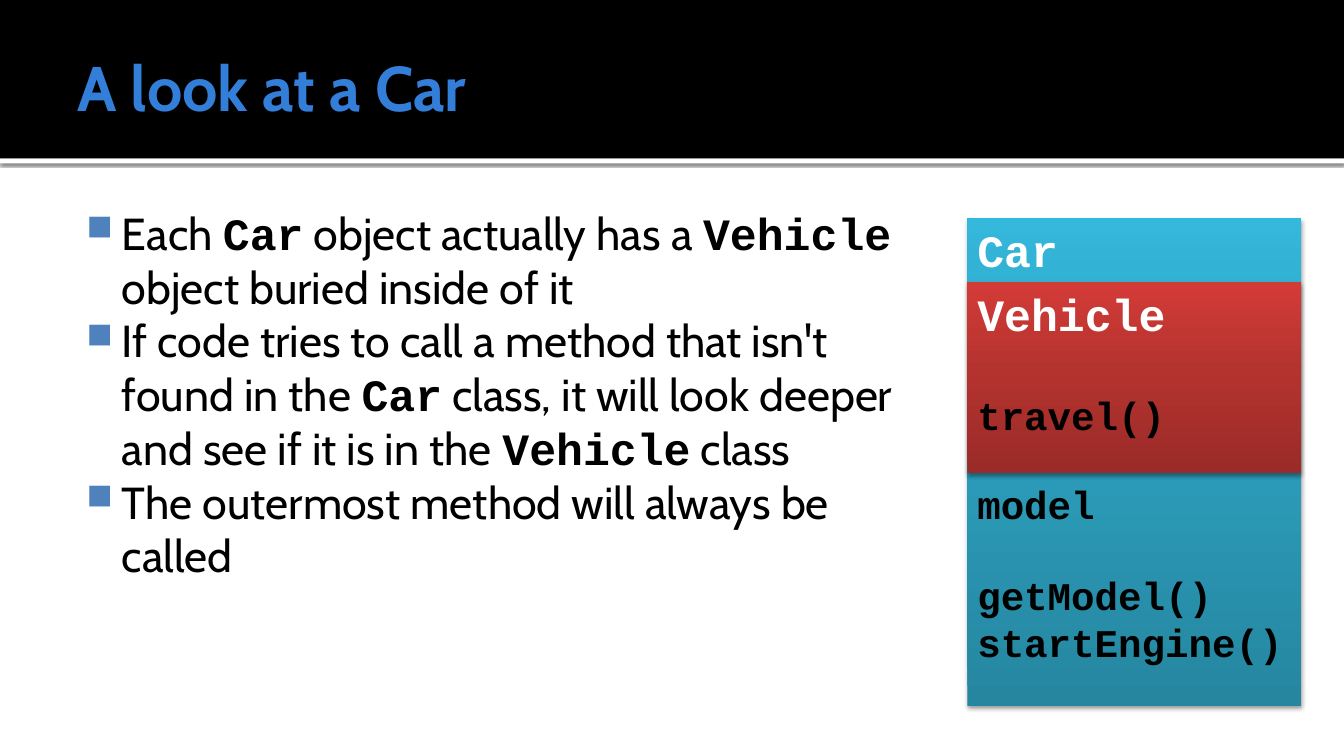
from dataclasses import dataclass

import lxml.etree
import pptx
import pptx.dml.color
import pptx.enum.shapes
import pptx.enum.text
import pptx.oxml.ns
import pptx.util
from pptx.util import Cm


@dataclass(frozen=True)
class Theme:
    prose_font: str = "Cabin"
    code_font: str = "Courier New"
    black: str = "000000"
    white: str = "FFFFFF"
    title: str = "337ED9"
    bullet: str = "4F81BD"
    car: tuple[str, ...] = ("2686A0", "2C9EBC", "34B8DB")
    vehicle: tuple[str, ...] = ("9A2B28", "B5332F", "D33B37")
    title_size: float = 45
    body_size: float = 32
    member_size: float = 28
    code_line: float = 1.133


@dataclass(frozen=True)
class Area:
    left: float
    top: float
    width: float
    height: float

    def lengths(self) -> tuple[Cm, Cm, Cm, Cm]:
        return Cm(self.left), Cm(self.top), Cm(self.width), Cm(self.height)


@dataclass(frozen=True)
class Shadow:
    opacity: int
    blur: float
    distance: float


@dataclass(frozen=True)
class Member:
    text: str
    gap: float = 0


@dataclass(frozen=True)
class ObjectBox:
    name: str
    area: Area
    gradient: tuple[str, ...]
    members: tuple[Member, ...]


THEME = Theme()
STOPS = (0, 0.55, 1)
BOX_SHADOW = Shadow(38, 3.1, 2)
DIVIDER_SHADOW = Shadow(60, 2.5, 0.8)
HEADING_LINE = THEME.body_size * THEME.code_line
MEMBER_LINE = THEME.member_size * THEME.code_line

BULLETS = (
    "Each `Car` object actually has a `Vehicle` object buried inside of it",
    "If code tries to call a method that isn't found in the `Car` class, "
    "it will look deeper and see if it is in the `Vehicle` class",
    "The outermost method will always be called",
)

BOXES = (
    ObjectBox("Car", Area(24.38, 5.5, 8.41, 12.28), THEME.car, (
        Member("model", 4 * HEADING_LINE),
        Member("getModel()", MEMBER_LINE),
        Member("startEngine()"),
    )),
    ObjectBox("Vehicle", Area(24.38, 7.11, 8.41, 4.81), THEME.vehicle, (
        Member("travel()", HEADING_LINE),
    )),
)


def color(value: str) -> pptx.dml.color.RGBColor:
    return pptx.dml.color.RGBColor.from_string(value)


def add_child(parent, tag: str, **attributes: str):
    child = lxml.etree.SubElement(parent, pptx.oxml.ns.qn(tag))
    for name, value in attributes.items():
        child.set(name, value)
    return child


def style_font(font, size: float, fill: str) -> None:
    font.size = pptx.util.Pt(size)
    font.color.rgb = color(fill)


def set_typeface(font, name: str, bold: bool) -> None:
    font.name = name
    font.bold = bold


def add_rectangle(shapes, area: Area):
    shape = shapes.add_shape(pptx.enum.shapes.MSO_SHAPE.RECTANGLE, *area.lengths())
    shape.shadow.inherit = False
    shape.line.fill.background()
    return shape


def add_band(shapes, area: Area, fill: str):
    band = add_rectangle(shapes, area)
    band.fill.solid()
    band.fill.fore_color.rgb = color(fill)
    return band


def add_shadow(shape, shadow: Shadow) -> None:
    effects = shape.element.spPr.find(pptx.oxml.ns.qn("a:effectLst"))
    outer = add_child(
        effects, "a:outerShdw",
        blurRad=str(pptx.util.Pt(shadow.blur)),
        dist=str(pptx.util.Pt(shadow.distance)),
        dir="5400000", rotWithShape="0",
    )
    shade = add_child(outer, "a:srgbClr", val=THEME.black)
    add_child(shade, "a:alpha", val=str(shadow.opacity * 1000))


def fill_gradient(shape, colors: tuple[str, ...]) -> None:
    shape.fill.gradient()
    shape.fill.gradient_angle = 90
    stop_list = next(shape.element.iter(pptx.oxml.ns.qn("a:gsLst")))
    for stop in list(stop_list):
        stop_list.remove(stop)
    for position, value in zip(STOPS, colors):
        stop = add_child(stop_list, "a:gs", pos=str(round(position * 100000)))
        add_child(stop, "a:srgbClr", val=value)


def add_text_frame(slide, area: Area, insets: tuple[float, float, float, float]):
    frame = slide.shapes.add_textbox(*area.lengths()).text_frame
    frame.word_wrap = True
    (frame.margin_left, frame.margin_top,
     frame.margin_right, frame.margin_bottom) = map(Cm, insets)
    return frame


def add_title(slide) -> None:
    frame = add_text_frame(slide, Area(1.7, 0.43, 30.48, 3.48), (0.25, 0.13, 0.13, 0.13))
    frame.vertical_anchor = pptx.enum.text.MSO_ANCHOR.MIDDLE
    paragraph = frame.paragraphs[0]
    paragraph.text = "A look at a Car"
    style_font(paragraph.font, THEME.title_size, THEME.title)
    set_typeface(paragraph.font, THEME.prose_font, True)


def add_bullets(slide) -> None:
    frame = add_text_frame(slide, Area(1.7, 4.93, 22.02, 12.85), (0.15, 0.25, 0.25, 0.13))
    for index, text in enumerate(BULLETS):
        paragraph = frame.add_paragraph() if index else frame.paragraphs[0]
        properties = paragraph._p.get_or_add_pPr()
        properties.set("marL", str(Cm(1.22)))
        properties.set("indent", str(Cm(-0.89)))
        add_child(add_child(properties, "a:buClr"), "a:srgbClr", val=THEME.bullet)
        add_child(properties, "a:buSzPct", val="80000")
        add_child(properties, "a:buChar", char="■")
        style_font(paragraph.font, THEME.body_size, THEME.black)
        for position, part in enumerate(text.split("`")):
            is_code = position % 2 == 1
            run = paragraph.add_run()
            run.text = part
            set_typeface(run.font, THEME.code_font if is_code else THEME.prose_font, is_code)


def add_object_box(shapes, box: ObjectBox) -> None:
    shape = add_rectangle(shapes, box.area)
    fill_gradient(shape, box.gradient)
    add_shadow(shape, BOX_SHADOW)
    frame = shape.text_frame
    frame.word_wrap = True
    frame.vertical_anchor = pptx.enum.text.MSO_ANCHOR.TOP
    heading = frame.paragraphs[0]
    heading.text = box.name
    style_font(heading.font, THEME.body_size, THEME.white)
    for member in box.members:
        paragraph = frame.add_paragraph()
        paragraph.text = member.text
        paragraph.space_before = pptx.util.Pt(round(member.gap, 1))
        style_font(paragraph.font, THEME.member_size, THEME.black)
    for paragraph in frame.paragraphs:
        paragraph.alignment = pptx.enum.text.PP_ALIGN.LEFT
        set_typeface(paragraph.font, THEME.code_font, True)


def main() -> None:
    presentation = pptx.Presentation()
    presentation.slide_width = Cm(33.87)
    presentation.slide_height = Cm(19.05)
    slide = presentation.slides.add_slide(presentation.slide_layouts[6])
    divider = add_band(slide.shapes, Area(0, 3.99, 33.87, 0.13), THEME.white)
    add_shadow(divider, DIVIDER_SHADOW)
    add_band(slide.shapes, Area(0, 0, 33.87, 3.99), THEME.black)
    add_title(slide)
    add_bullets(slide)
    group = slide.shapes.add_group_shape()
    for box in BOXES:
        add_object_box(group.shapes, box)
    presentation.save("out.pptx")


if __name__ == "__main__":
    main()
